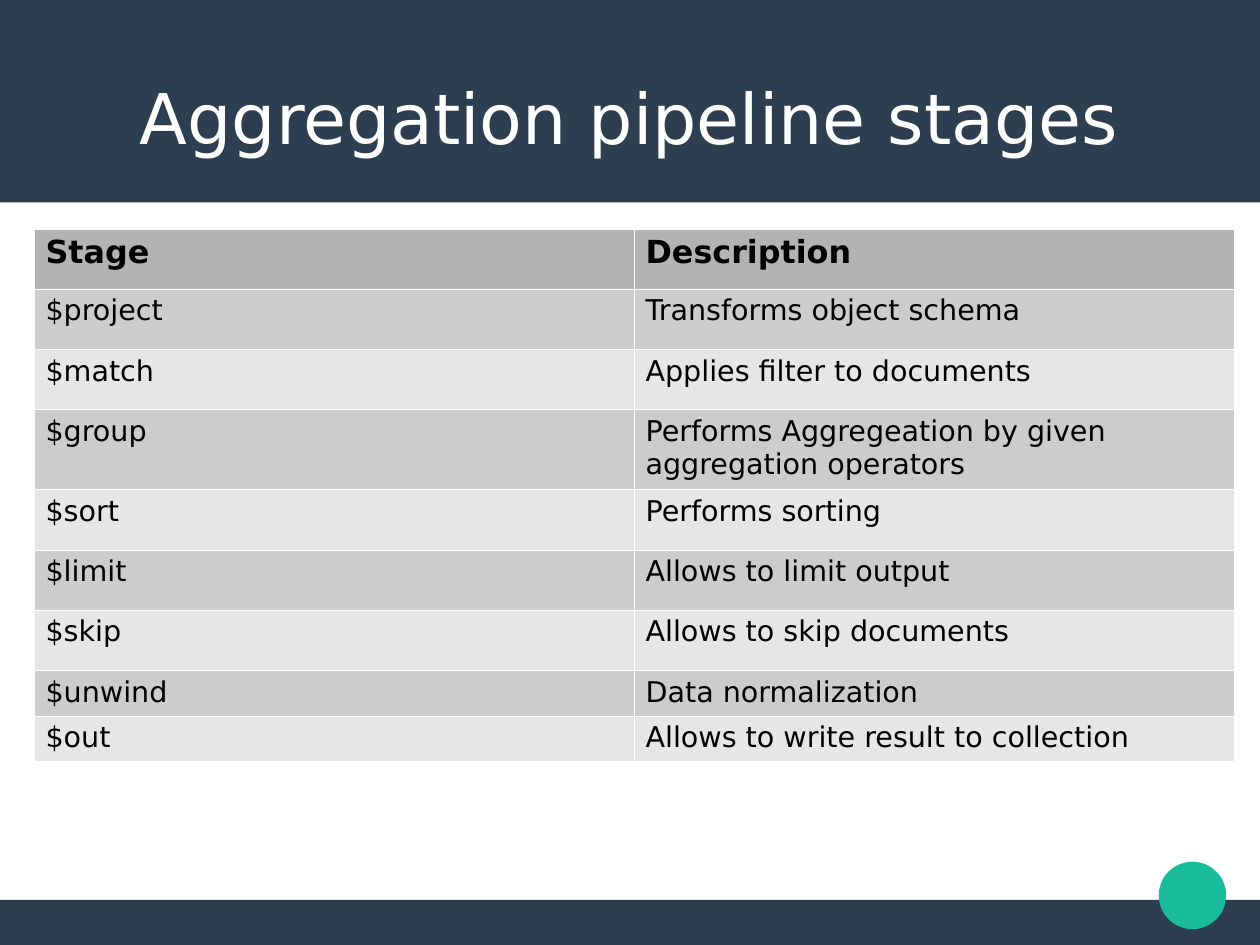
from dataclasses import dataclass

import lxml.etree
import pptx
import pptx.dml.color
import pptx.enum.shapes
import pptx.enum.text
import pptx.oxml.ns
import pptx.util

Pt = pptx.util.Pt
Shapes = pptx.enum.shapes.MSO_SHAPE
Align = pptx.enum.text.PP_ALIGN
Anchor = pptx.enum.text.MSO_ANCHOR

FONT = "DejaVu Sans"
NAVY, GREEN, WHITE, BLACK = "2C3E50", "1ABC9C", "FFFFFF", "000000"
HEADER_GREY, STRIPES = "B3B3B3", ("CCCCCC", "E6E6E6")
SLIDE_WIDTH, SLIDE_HEIGHT = 793.7, 595.28
FOOTER_HEIGHT = 28.35
COLUMN_WIDTH = 378
BORDER_WIDTH = 0.06


@dataclass
class Ornament:
    kind: Shapes
    left: float
    top: float
    width: float
    height: float
    color: str


@dataclass
class Stage:
    name: str
    description: str
    height: float = 38


ORNAMENTS = [
    Ornament(Shapes.RECTANGLE, 0, SLIDE_HEIGHT - FOOTER_HEIGHT, SLIDE_WIDTH, FOOTER_HEIGHT, NAVY),
    Ornament(Shapes.RECTANGLE, 0, 0, SLIDE_WIDTH, 127.5, NAVY),
    Ornament(Shapes.OVAL, 729.9, 542.8, 42.5, 42.5, GREEN),
]

HEADING = Stage("Stage", "Description")
STAGES = [
    Stage("$project", "Transforms object schema"),
    Stage("$match", "Applies filter to documents"),
    Stage("$group", "Performs Aggregeation by given aggregation operators", 49),
    Stage("$sort", "Performs sorting"),
    Stage("$limit", "Allows to limit output"),
    Stage("$skip", "Allows to skip documents"),
    Stage("$unwind", "Data normalization", 28),
    Stage("$out", "Allows to write result to collection", 28),
]


def set_fill(fill, color: str) -> None:
    fill.solid()
    fill.fore_color.rgb = pptx.dml.color.RGBColor.from_string(color)


def write_text(frame, text: str, *, size: float, color: str = BLACK,
               bold: bool = False, align: Align = Align.LEFT) -> None:
    frame.word_wrap = True
    paragraph = frame.paragraphs[0]
    paragraph.alignment = align
    run = paragraph.add_run()
    run.text = text
    run.font.name = FONT
    run.font.size = Pt(size)
    run.font.bold = bold
    set_fill(run.font.fill, color)


def draw_ornament(slide, ornament: Ornament) -> None:
    shape = slide.shapes.add_shape(
        ornament.kind, Pt(ornament.left), Pt(ornament.top),
        Pt(ornament.width), Pt(ornament.height))
    shape.shadow.inherit = False
    set_fill(shape.fill, ornament.color)
    shape.line.fill.background()


def draw_title(slide, text: str) -> None:
    title = slide.shapes.add_textbox(Pt(39.6), Pt(23.8), Pt(714.2), Pt(99.4))
    frame = title.text_frame
    frame.margin_left = frame.margin_right = 0
    frame.margin_top = frame.margin_bottom = 0
    frame.vertical_anchor = Anchor.MIDDLE
    write_text(frame, text, size=44, color=WHITE, align=Align.CENTER)


def add_borders(cell, color: str) -> None:
    qn = pptx.oxml.ns.qn
    properties = cell._tc.get_or_add_tcPr()
    for side in ("a:lnL", "a:lnR", "a:lnT", "a:lnB"):
        line = lxml.etree.SubElement(properties, qn(side), w=str(Pt(BORDER_WIDTH)))
        solid = lxml.etree.SubElement(line, qn("a:solidFill"))
        lxml.etree.SubElement(solid, qn("a:srgbClr"), val=color)


def draw_stages(slide, heading: Stage, stages: list[Stage]) -> None:
    rows = [heading, *stages]
    table = slide.shapes.add_table(
        len(rows), 2, Pt(21.6), Pt(144), Pt(2 * COLUMN_WIDTH),
        Pt(sum(stage.height for stage in rows))).table
    for column in table.columns:
        column.width = Pt(COLUMN_WIDTH)
    for index, stage in enumerate(rows):
        is_heading = index == 0
        table.rows[index].height = Pt(stage.height)
        for cell, text in zip(table.rows[index].cells, (stage.name, stage.description)):
            cell.margin_left = cell.margin_right = Pt(7.09)
            cell.margin_top = cell.margin_bottom = Pt(3.54)
            add_borders(cell, WHITE)
            set_fill(cell.fill, HEADER_GREY if is_heading else STRIPES[(index - 1) % 2])
            write_text(cell.text_frame, text, size=20 if is_heading else 18, bold=is_heading)


def main() -> None:
    presentation = pptx.Presentation()
    presentation.slide_width = Pt(SLIDE_WIDTH)
    presentation.slide_height = Pt(SLIDE_HEIGHT)
    slide = presentation.slides.add_slide(presentation.slide_layouts[6])
    set_fill(slide.background.fill, WHITE)
    for ornament in ORNAMENTS:
        draw_ornament(slide, ornament)
    draw_title(slide, "Aggregation pipeline stages")
    draw_stages(slide, HEADING, STAGES)
    presentation.save("out.pptx")


if __name__ == "__main__":
    main()
